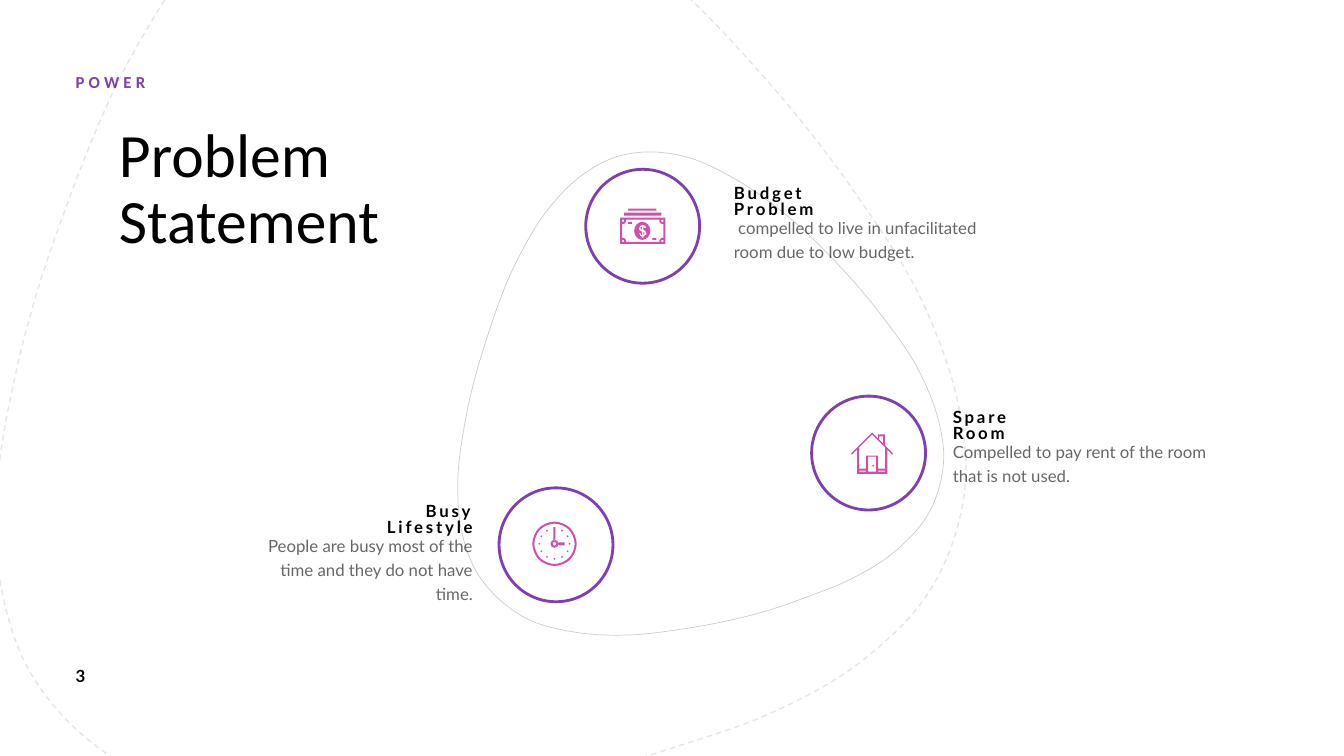
from dataclasses import dataclass
from math import cos, dist, pi, radians, sin

from lxml import etree
from pptx import Presentation
from pptx.dml.color import RGBColor
from pptx.enum.dml import MSO_LINE
from pptx.enum.shapes import MSO_SHAPE
from pptx.enum.text import MSO_ANCHOR, MSO_AUTO_SIZE, PP_ALIGN
from pptx.oxml.ns import qn
from pptx.util import Emu, Pt

LEFT, RIGHT = PP_ALIGN.LEFT, PP_ALIGN.RIGHT
TOP, NO_FIT = MSO_ANCHOR.TOP, MSO_AUTO_SIZE.NONE
OVAL, DASH = MSO_SHAPE.OVAL, MSO_LINE.DASH

SCALE = 9144  # EMU in one px, 100 px to the inch
BLACK, PURPLE, PINK = "000000", "7F3EB2", "D14FAA"
RING = 113

Spot = tuple[float, float]

HUB = (673, 384)
BLOB: list[Spot] = [
    (931, 418), (936, 451), (920, 511), (890, 545), (843, 575), (801, 592),
    (767, 604), (730, 614), (677, 624), (622, 630), (569, 627), (523, 614),
    (473, 568), (458, 528), (454, 480), (461, 420), (483, 335), (514, 256),
    (544, 207), (577, 174), (610, 156), (636, 151), (678, 155), (728, 177),
    (777, 211), (827, 258), (872, 310), (913, 371),
]


@dataclass
class Loop:
    spots: list[Spot]
    curved: bool = False


@dataclass
class Issue:
    head: str
    body: str
    ring: tuple[int, int]
    head_box: tuple[int, int, int, int]
    body_box: tuple[int, int, int, int]
    align: PP_ALIGN = LEFT


ISSUES = [
    Issue("Budget Problem",
          " compelled to live in unfacilitated room due to low budget.",
          (581, 168), (728, 185, 150, 17), (728, 212, 267, 48)),
    Issue("Busy Lifestyle",
          "People are busy most of the time and they do not have time.",
          (495, 484), (337, 501, 132, 17), (251, 527, 218, 48), RIGHT),
    Issue("Spare Room",
          "Compelled to pay rent of the room that is not used.",
          (805, 393), (945, 407, 110, 17), (945, 434, 267, 48)),
]


def block(x: int, y: int, w: int, h: int) -> Loop:
    return Loop([(x, y), (x + w, y), (x + w, y + h), (x, y + h)])


def disc(x: float, y: float, rx: float, ry: float) -> Loop:
    count = 8 if rx > 2 else 4
    turns = [2 * pi * i / count for i in range(count)]
    return Loop([(x + rx * cos(t), y + ry * sin(t)) for t in turns], True)


HOUSE = [
    Loop([(844, 450), (865, 429), (871, 435), (871, 431), (878, 431), (878, 442),
          (886, 450), (885, 451), (880, 446), (880, 470), (850, 470), (850, 446),
          (845, 451)]),
    Loop([(878, 465), (871, 465), (871, 452), (859, 452), (859, 465), (852, 465),
          (852, 444), (865, 431), (878, 444)]),
    Loop([(872, 433), (876, 433), (876, 440), (872, 436)]),
    block(852, 467, 7, 1), block(871, 467, 7, 1), block(861, 453, 8, 15),
    disc(866, 462, 1, 1),
]
CLOCK = [disc(550, 539.5, r, r) for r in (22, 20, 4, 2)]
CLOCK += [block(549, 523, 2, 13), block(554, 538, 6, 3)]
CLOCK += [disc(550 + 15 * sin(h * pi / 6), 539.5 - 15 * cos(h * pi / 6), 1, 1)
          for h in range(1, 12)]
NOTE = [
    block(615, 216, 45, 26), block(619, 211, 37, 3), block(623, 207, 28, 2),
    block(623, 220, 4, 2), block(647, 236, 4, 2),
    Loop([(621, 218), (654, 218), (654, 220), (656, 222), (658, 222), (658, 236),
          (656, 236), (654, 238), (654, 240), (621, 240), (621, 238), (619, 236),
          (617, 236), (617, 222), (619, 222), (621, 220)]),
    *[block(x, y, 2, 2) for x in (617, 656) for y in (218, 238)],
    disc(637, 229, 8, 9),
    Loop([(634, 226), (635, 224), (637, 223), (638, 223), (640, 224), (641, 226),
          (639, 226), (638, 225), (638, 228), (640, 229), (641, 231), (641, 233),
          (639, 234), (638, 235), (638, 236), (637, 236), (637, 235), (635, 234),
          (634, 231), (635, 231), (636, 233), (637, 233), (637, 230), (635, 229),
          (634, 228)]),
    Loop([(635, 226), (636, 225), (637, 225), (637, 228), (636, 227)]),
    Loop([(638, 230), (639, 231), (639, 232), (638, 233)]),
]


def px(size: float) -> Emu:
    return Emu(round(size * SCALE))


def paint(fill, tone: str) -> None:
    fill.solid()
    fill.fore_color.rgb = RGBColor.from_string(tone)


def fade(node, share: int) -> None:
    """Make every colour under the node opaque to the given percent."""
    for tone in node.iter(qn("a:srgbClr")):
        etree.SubElement(tone, qn("a:alpha")).set("val", str(share * 1000))


def finish(shape, fill: str = "", line: str = "", width: float = 1):
    shape.shadow.inherit = False
    for part, tone in ((shape.fill, fill), (shape.line.fill, line)):
        if tone:
            paint(part, tone)
        else:
            part.background()
    if line:
        shape.line.width = Pt(width)
    return shape


def slope(a: Spot, b: Spot, c: Spot) -> Spot:
    """Tangent at b of a curve through three spots, paced by chord length."""
    p, q = dist(a, b), dist(b, c)
    return tuple(((v - u) * q / p + (w - v) * p / q) / (p + q)
                 for u, v, w in zip(a, b, c))


def bend(sides: list, spots: list[Spot]) -> None:
    """Turn the straight sides of a closed loop into smooth curves."""
    count = len(spots)
    lean = [slope(spots[i - 1], spots[i], spots[(i + 1) % count])
            for i in range(count)]
    for i, side in enumerate(sides):
        j = (i + 1) % count
        a, b, third = spots[i], spots[j], dist(spots[i], spots[j]) / 3
        curve = etree.Element(qn("a:cubicBezTo"))
        for spot in ([u + third * v for u, v in zip(a, lean[i])],
                     [u - third * v for u, v in zip(b, lean[j])], b):
            point = etree.SubElement(curve, qn("a:pt"))
            for axis, value in zip("xy", spot):
                point.set(axis, str(round(value)))
        side.getparent().replace(side, curve)


def trace(shapes, loops: list[Loop], **look):
    """Draw all loops as one outline."""
    pen = None
    for loop in loops:
        first, *rest = [(px(x), px(y)) for x, y in loop.spots]
        if pen:
            pen.move_to(*first)
        else:
            pen = shapes.build_freeform(*first, scale=1.0)
        pen.add_line_segments([*rest, first], close=True)
    shape = pen.convert_to_shape()
    for loop, start in zip(loops, list(shape._element.iter(qn("a:moveTo")))):
        if loop.curved:
            sides = list(start.itersiblings())[:len(loop.spots)]
            points = [node[0] for node in (start, *sides[:-1])]
            bend(sides, [(int(p.get("x")), int(p.get("y"))) for p in points])
    return finish(shape, **look)


def blob(shapes, mid: Spot, zoom: float, turn: float, width: float, share: int):
    c, s = zoom * cos(radians(turn)), zoom * sin(radians(turn))
    offs = [(x - HUB[0], y - HUB[1]) for x, y in BLOB]
    spots = [(mid[0] + x * c - y * s, mid[1] + x * s + y * c) for x, y in offs]
    shape = trace(shapes, [Loop(spots, True)], line=BLACK, width=width)
    fade(shape.line._get_or_add_ln(), share)
    return shape


def label(shapes, text: str, box: tuple, tone: str = BLACK, face: str = "Lato",
          bold: bool = True, gap: int = 0, pitch: float = 1.0,
          align: PP_ALIGN = LEFT, share: int = 100) -> None:
    frame = shapes.add_textbox(*map(px, box)).text_frame
    frame.word_wrap = True
    frame.margin_left = frame.margin_right = 0
    frame.margin_top = frame.margin_bottom = 0
    para = frame.paragraphs[0]
    para.text, para.alignment, para.line_spacing = text, align, pitch
    font = para.font
    font.name, font.size, font.bold = face, Pt(12), bold
    paint(font.fill, tone)
    if gap:
        para._p.pPr.find(qn("a:defRPr")).set("spc", str(gap * 100))
    if share < 100:
        fade(para._p, share)


def title(shape) -> None:
    shape.left, shape.top, shape.width, shape.height = map(px, (108, 118, 435, 152))
    frame = shape.text_frame
    frame.text = "Problem\nStatement"
    frame.word_wrap, frame.auto_size = True, NO_FIT
    frame.vertical_anchor = TOP
    for para in frame.paragraphs:
        para.alignment, para.line_spacing = LEFT, 0.9
        para.font.name, para.font.size = "Calibri", Pt(44)
        paint(para.font.fill, BLACK)


def main() -> None:
    deck = Presentation()
    deck.slide_width, deck.slide_height = px(1333), px(750)
    shapes = deck.slides.add_slide(deck.slide_layouts[5]).shapes
    title(shapes.title)
    label(shapes, "3", (75, 660, 20, 20))
    label(shapes, "POWER", (75, 71, 77, 20), PURPLE, "Calibri", gap=3)
    blob(shapes, HUB, 1, 0, 0.5, 20)
    blob(shapes, (441, 314), 1.99, 2.5, 1, 10).line.dash_style = DASH
    for item in ISSUES:
        ring = shapes.add_shape(OVAL, *map(px, (*item.ring, RING, RING)))
        finish(ring, line=PURPLE, width=2)
        label(shapes, item.head, item.head_box, gap=2, pitch=0.8, align=item.align)
        label(shapes, item.body, item.body_box, bold=False, pitch=1.2,
              align=item.align, share=60)
    for icon in (HOUSE, CLOCK, NOTE):
        trace(shapes, icon, fill=PINK)
    deck.save("out.pptx")


if __name__ == "__main__":
    main()
